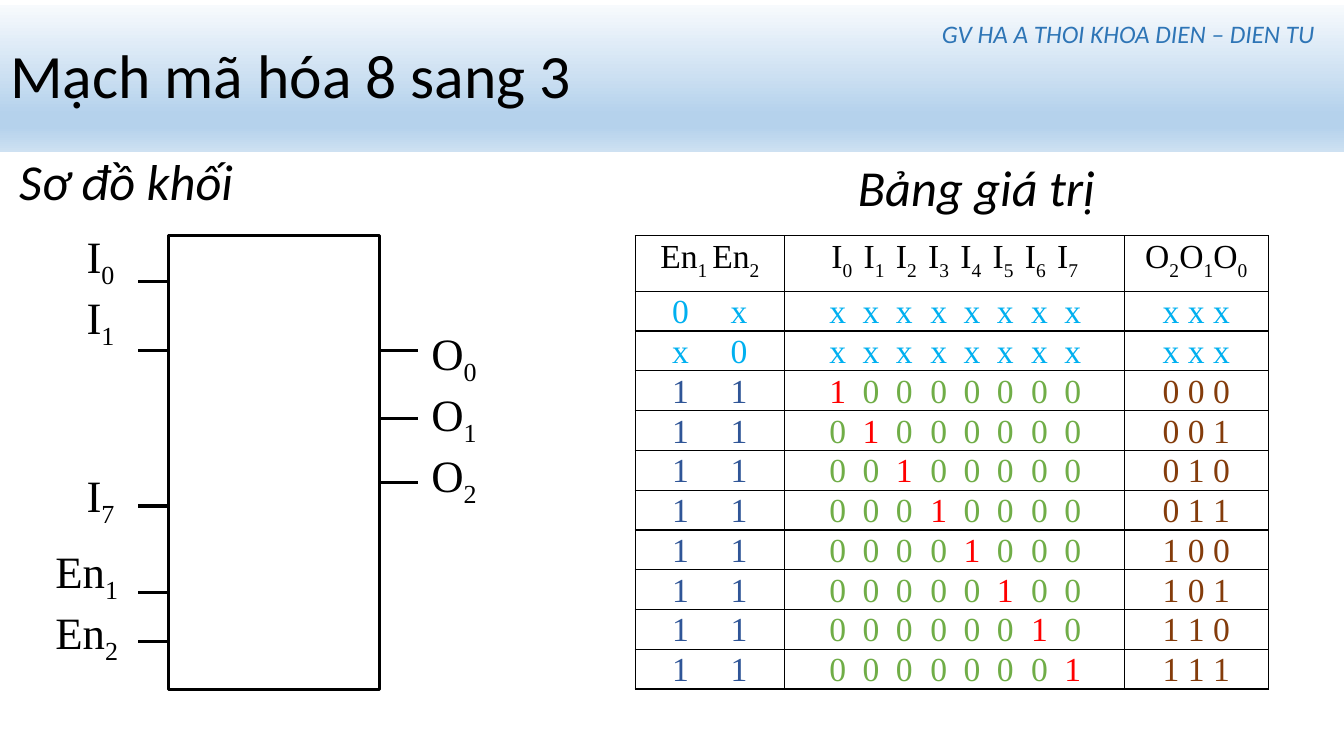
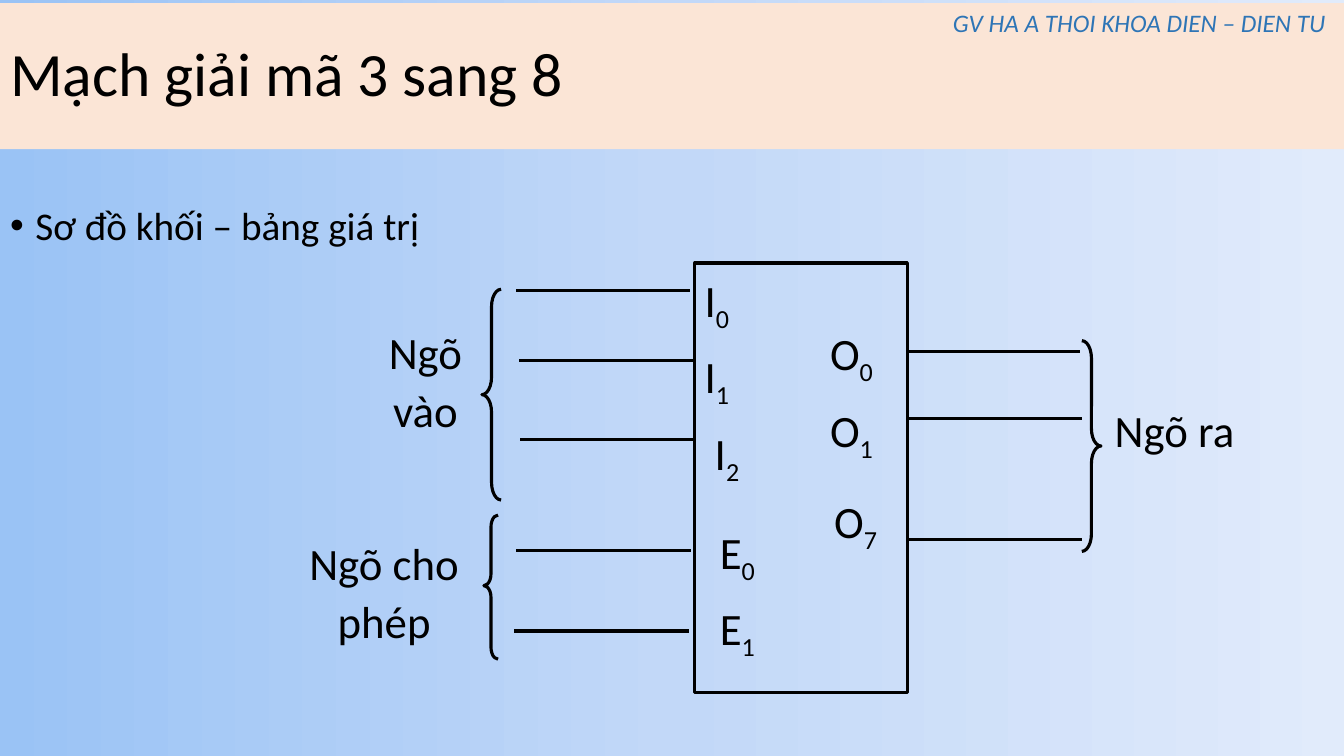
from dataclasses import dataclass

from lxml.etree import SubElement
from pptx import Presentation
from pptx.dml.color import RGBColor
from pptx.enum.shapes import MSO_CONNECTOR, MSO_SHAPE
from pptx.enum.text import MSO_ANCHOR, MSO_AUTO_SIZE, PP_ALIGN
from pptx.oxml.ns import qn
from pptx.util import Pt

# Shared scale, colours and fonts
PX = 9144  # EMU in one px, 100 px to the inch
PAGE_WIDTH, PAGE_HEIGHT = 1333, 750
BLACK, SKY, NAVY, RED = "000000", "00B0F0", "2F5597", "FF0000"
GREEN, BROWN, FOOTER_BLUE, PEACH = "70AD47", "843C0B", "2E75B6", "FBE5D6"
BAND_STOPS = [(0, "F7FAFD"), (74, "B5D2EC"), (83, "B5D2EC"), (100, "CEE1F2")]
PAGE_STOPS = [(0, "9AC3F5"), (50, "C2D8F8"), (100, "E1EBFB")]
SANS, SERIF = "Calibri", "Times New Roman"
FOOTER = "GV HA A THOI KHOA DIEN – DIEN TU"


@dataclass(frozen=True)
class Box:
    left: int
    top: int
    width: int
    height: int

    def emu(self) -> tuple:
        return tuple(value * PX for value in (self.left, self.top, self.width, self.height))


@dataclass(frozen=True)
class Style:
    font: str = SANS
    size: int = 32
    color: str = BLACK
    italic: bool = False
    align: PP_ALIGN = PP_ALIGN.LEFT
    spacing: float = 1.0
    after: int = 0


@dataclass(frozen=True)
class Label:
    box: Box
    lines: tuple  # "I_0" sets the 0 as a subscript
    style: Style


@dataclass(frozen=True)
class Wire:
    start: int
    end: int
    y: int


@dataclass(frozen=True)
class Brace:
    box: Box
    shape: MSO_SHAPE
    curve: float
    point: float


@dataclass(frozen=True)
class Span:
    text: str
    color: str


PIN = Style(font=SERIF)
SPACED = Style(spacing=1.07, after=8)
CENTERED = Style(spacing=1.07, after=8, align=PP_ALIGN.CENTER)
TITLE = Style(size=44, spacing=0.9)
HEADING = Style(size=36, italic=True, spacing=0.9)
BULLET = Style(size=28, spacing=0.9)
FOOTER_STYLE = Style(size=18, color=FOOTER_BLUE, italic=True, align=PP_ALIGN.CENTER)
CELL = Style(font=SERIF, size=24, align=PP_ALIGN.CENTER, spacing=1.07)
TABBED_CELL = Style(font=SERIF, size=24, spacing=1.07)


# Colour, fill and text helpers
def rgb(color: str) -> RGBColor:
    return RGBColor.from_string(color)


def fill_gradient(owner, fill, stops: list, angle: int) -> None:
    fill.gradient()
    gradient = owner.element.find(".//" + qn("a:gradFill"))
    stop_list = gradient.find(qn("a:gsLst"))
    stop_list.clear()
    for position, color in stops:
        stop = SubElement(stop_list, qn("a:gs"), pos=str(position * 1000))
        SubElement(stop, qn("a:srgbClr"), val=color)
    gradient.find(qn("a:lin")).set("ang", str(angle * 60000))


def format_para(para, style: Style) -> None:
    para.alignment = style.align
    para.line_spacing = style.spacing
    para.space_before = Pt(0)
    para.space_after = Pt(style.after)


def add_span(para, text: str, style: Style, color: str, lowered: bool = False) -> None:
    span = para.add_run()
    span.text = text
    font = span.font
    font.name, font.size, font.italic, font.bold = style.font, Pt(style.size), style.italic, False
    font.color.rgb = rgb(color)
    if lowered:
        font._element.set("baseline", "-25000")


def add_symbol(para, symbol: str, style: Style) -> None:
    base, _, index = symbol.partition("_")
    add_span(para, base, style, style.color)
    if index:
        add_span(para, index, style, style.color, lowered=True)


def write_lines(frame, lines: tuple, style: Style) -> None:
    frame.word_wrap = True
    frame.auto_size = MSO_AUTO_SIZE.NONE
    for number, line in enumerate(lines):
        para = frame.add_paragraph() if number else frame.paragraphs[0]
        format_para(para, style)
        add_symbol(para, line, style)


def set_indent(para, left: int, first: int = 0) -> None:
    properties = para._p.get_or_add_pPr()
    properties.set("marL", str(left * PX))
    properties.set("indent", str(first * PX))


def add_bullet(para, character: str) -> None:
    SubElement(para._p.get_or_add_pPr(), qn("a:buChar"), char=character)


def add_center_tabs(para, stops: list) -> None:
    tabs = SubElement(para._p.get_or_add_pPr(), qn("a:tabLst"))
    for stop in stops:
        SubElement(tabs, qn("a:tab"), pos=str(stop * PX), algn="ctr")


# Shape helpers
def place(shape, box: Box) -> None:
    shape.left, shape.top, shape.width, shape.height = box.emu()


def add_label(page, label: Label):
    shape = page.shapes.add_textbox(*label.box.emu())
    write_lines(shape.text_frame, label.lines, label.style)
    return shape


def add_outline(page, kind: MSO_SHAPE, box: Box):
    shape = page.shapes.add_shape(kind, *box.emu())
    shape.shadow.inherit = False
    shape.fill.background()
    shape.line.color.rgb = rgb(BLACK)
    shape.line.width = Pt(2.25)
    return shape


def add_wire(page, wire: Wire) -> None:
    line = page.shapes.add_connector(
        MSO_CONNECTOR.STRAIGHT, wire.start * PX, wire.y * PX, wire.end * PX, wire.y * PX)
    line.line.color.rgb = rgb(BLACK)
    line.line.width = Pt(2.25)
    SubElement(line._element.spPr, qn("a:effectLst"))


def add_brace(page, brace: Brace) -> None:
    shape = add_outline(page, brace.shape, brace.box)
    shape.adjustments[0], shape.adjustments[1] = brace.curve, brace.point


def add_page(deck, title: str, band: Box, body: Box, lines: tuple, style: Style, footer: Box):
    page = deck.slides.add_slide(deck.slide_layouts[1])
    heading, content = page.placeholders
    place(heading, band)
    heading.text_frame.vertical_anchor = MSO_ANCHOR.MIDDLE
    write_lines(heading.text_frame, (title,), TITLE)
    place(content, body)
    write_lines(content.text_frame, lines, style)
    add_label(page, Label(footer, (FOOTER,), FOOTER_STYLE))
    return page


# Truth table
def draw_border(cell) -> None:
    properties = cell._tc.get_or_add_tcPr()
    for number, side in enumerate(("a:lnL", "a:lnR", "a:lnT", "a:lnB")):
        line = properties.makeelement(qn(side), {"w": "12700"})
        properties.insert(number, line)
        SubElement(SubElement(line, qn("a:solidFill")), qn("a:srgbClr"), val=BLACK)


def table_rows() -> list:
    rows = []
    for enables in ("0x", "x0"):
        rows.append(([Span("\t" + bit, SKY) for bit in enables],
                     [Span("\tx", SKY)] * 8, [Span("x x x", SKY)]))
    for active in range(8):
        inputs = [Span("\t1", RED) if bit == active else Span("\t0", GREEN) for bit in range(8)]
        rows.append(([Span("\t1", NAVY)] * 2, inputs, [Span(" ".join(f"{active:03b}"), BROWN)]))
    return rows


def add_truth_table(page) -> None:
    rows = table_rows()
    widths, heights = (148, 337, 143), [55] + [39] * len(rows)
    box = Box(630, 234, sum(widths), sum(heights))
    table = page.shapes.add_table(len(heights), len(widths), *box.emu()).table
    table.first_row = table.horz_banding = False
    for column, width in zip(table.columns, widths):
        column.width = width * PX
    for row, height in zip(table.rows, heights):
        row.height = height * PX
    for cell in table.iter_cells():
        cell.margin_left = cell.margin_right = 7 * PX
        cell.margin_top = cell.margin_bottom = 0
        cell.fill.background()
        draw_border(cell)

    header = (("En_1 ", "En_2"), [f"\tI_{n}" for n in range(8)], ("O_2", "O_1", "O_0"))
    header_tabs = ([], [50 + 32 * n for n in range(8)], [])
    value_tabs = ([38, 96], [46 + 100 * n // 3 for n in range(8)], [])
    for column, symbols in enumerate(header):
        para = start_cell(table.cell(0, column), header_tabs[column])
        for symbol in symbols:
            add_symbol(para, symbol, CELL)
    for row, groups in enumerate(rows, start=1):
        for column, spans in enumerate(groups):
            para = start_cell(table.cell(row, column), value_tabs[column])
            for span in spans:
                add_span(para, span.text, CELL, span.color)


def start_cell(cell, tabs: list):
    para = cell.text_frame.paragraphs[0]
    if tabs:
        add_center_tabs(para, tabs)
    format_para(para, TABBED_CELL if tabs else CELL)
    return para


# Pages
def build_encoder(deck) -> None:
    page = add_page(deck, "Mạch mã hóa 8 sang 3", Box(0, 5, PAGE_WIDTH, 146),
                    Box(9, 151, 1324, 599), ("Sơ đồ khối",), HEADING, Box(919, 13, 400, 40))
    heading, content = page.placeholders
    fill_gradient(heading, heading.fill, BAND_STOPS, 90)
    para = content.text_frame.paragraphs[0]
    set_indent(para, 0)
    SubElement(para._p.get_or_add_pPr(), qn("a:buNone"))
    add_label(page, Label(Box(841, 157, 276, 65), ("Bảng giá trị",), HEADING))

    # Block diagram
    add_outline(page, MSO_SHAPE.RECTANGLE, Box(167, 234, 209, 450))
    for y in (279, 348, 502, 588, 636):
        add_wire(page, Wire(137, 167, y))
    for y in (348, 415, 479):
        add_wire(page, Wire(377, 415, y))
    add_label(page, Label(Box(418, 318, 103, 193), ("O_0", "O_1", "O_2"), PIN))
    add_label(page, Label(Box(45, 534, 122, 129), ("En_1", "En_2"), PIN))
    inputs = add_label(page, Label(Box(76, 222, 55, 300), ("I_0", "I_1", "I_7"), PIN))
    inputs.text_frame.paragraphs[2].space_before = Pt(83)
    add_truth_table(page)


def build_decoder(deck) -> None:
    page = add_page(deck, "Mạch giải mã 3 sang 8", Box(0, 3, PAGE_WIDTH, 145),
                    Box(0, 200, PAGE_WIDTH, 550), ("Sơ đồ khối – bảng giá trị",), BULLET,
                    Box(930, 2, 400, 40))
    fill_gradient(page, page.background.fill, PAGE_STOPS, 0)
    heading, content = page.placeholders
    heading.fill.solid()
    heading.fill.fore_color.rgb = rgb(PEACH)
    para = content.text_frame.paragraphs[0]
    set_indent(para, 25, -25)
    add_bullet(para, "•")

    # Block with its input names
    block = add_outline(page, MSO_SHAPE.RECTANGLE, Box(689, 261, 211, 426))
    block.text_frame.vertical_anchor = MSO_ANCHOR.TOP
    write_lines(block.text_frame, ("I_0", "I_1", "I_2"), SPACED)
    set_indent(block.text_frame.paragraphs[2], 10)

    # Wires, braces and labels
    for wire in (Wire(512, 684, 288), Wire(515, 687, 358), Wire(516, 689, 436),
                 Wire(512, 685, 546), Wire(510, 683, 626), Wire(899, 1071, 349),
                 Wire(900, 1073, 415), Wire(900, 1073, 535)):
        add_wire(page, wire)
    for brace in (Brace(Box(478, 287, 19, 209), MSO_SHAPE.LEFT_BRACE, 0.91, 0.5),
                  Brace(Box(480, 511, 14, 143), MSO_SHAPE.LEFT_BRACE, 0.84, 0.49),
                  Brace(Box(1073, 338, 19, 209), MSO_SHAPE.RIGHT_BRACE, 0.91, 0.5)):
        add_brace(page, brace)
    for label in (Label(Box(808, 314, 73, 160), ("O_0", "O_1"), CENTERED),
                  Label(Box(796, 481, 105, 80), ("O_7",), CENTERED),
                  Label(Box(704, 511, 89, 161), ("E_0", "E_1"), SPACED),
                  Label(Box(346, 314, 152, 136), ("Ngõ vào",), CENTERED),
                  Label(Box(267, 523, 228, 137), ("Ngõ cho phép",), CENTERED),
                  Label(Box(1076, 391, 178, 90), ("Ngõ ra",), CENTERED)):
        add_label(page, label)


def main() -> None:
    deck = Presentation()
    deck.slide_width, deck.slide_height = PAGE_WIDTH * PX, PAGE_HEIGHT * PX
    build_encoder(deck)
    build_decoder(deck)
    deck.save("out.pptx")


if __name__ == "__main__":
    main()
